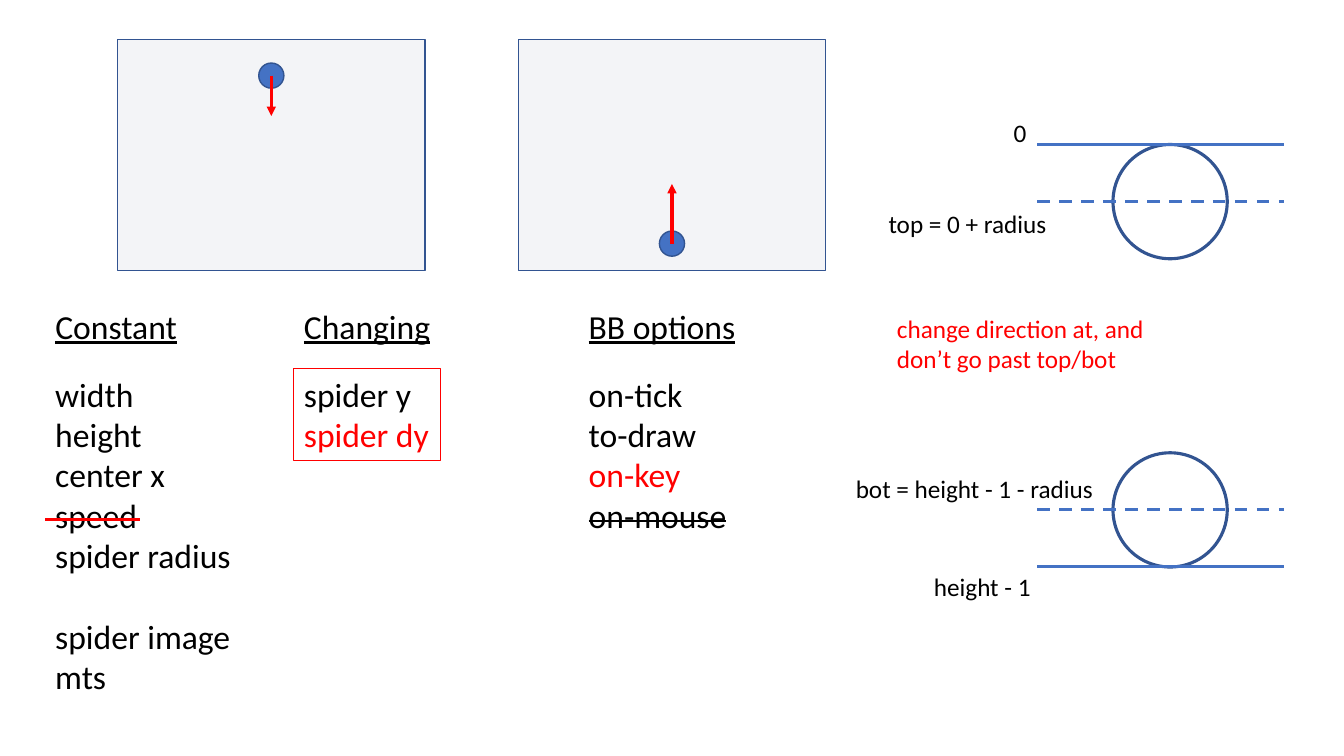
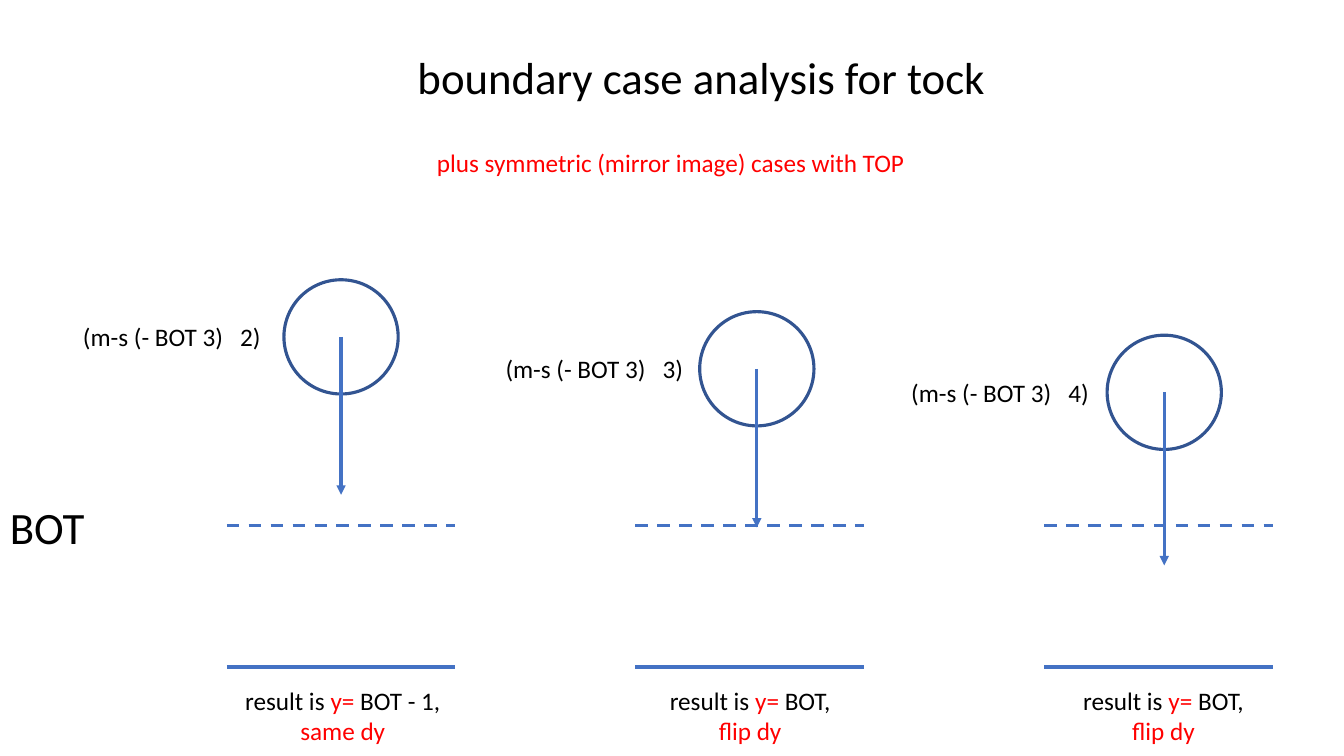
from lxml import etree
from pptx import Presentation
from pptx import util as u
from pptx.dml import color
from pptx.enum import dml, shapes, text
from pptx.oxml import ns

COLORS = {
    "ink": "000000",
    "accent": "FF0000",
    "line": "4472C4",
    "edge": "325491",
    "panel": "D6DCE5",
}
FONT = "Calibri"
COLUMNS, ROWS = 160, 90
WIDTH, HEIGHT = u.Inches(13.333), u.Inches(7.5)
LARGE, MEDIUM, SMALL = 32, 24, 18
LINE_WEIGHT = 2.25
CIRCLE = 13.6
LEFT, CENTER = text.PP_ALIGN.LEFT, text.PP_ALIGN.CENTER


def col(count):
    return round(WIDTH * count / COLUMNS)


def row(count):
    return round(HEIGHT * count / ROWS)


def rgb(name):
    return color.RGBColor.from_string(COLORS[name])


def add_xml(parent, tag, **attributes):
    return etree.SubElement(parent, ns.qn(tag), **attributes)


def style_run(span, size, ink):
    span.font.size = u.Pt(size)
    span.font.name = FONT
    span.font.color.rgb = rgb(ink)


def write(box, words, size, ink="ink", align=LEFT):
    frame = box.text_frame
    frame.word_wrap = True
    frame.vertical_anchor = text.MSO_ANCHOR.TOP
    frame.text = words
    for para in frame.paragraphs:
        para.alignment = align
        for span in para.runs:
            style_run(span, size, ink)
    return frame.paragraphs


def add_text(page, x, y, width, words, size=SMALL, ink="ink", align=LEFT):
    height = size / 5 * (words.count("\n") + 1) / 1.7 + 1.2
    box = page.shapes.add_textbox(col(x), row(y), col(width), row(height))
    return write(box, words, size, ink, align)


def add_outline(page, kind, x, y, width, height, edge, weight, fill=None):
    shape = page.shapes.add_shape(kind, col(x), row(y), col(width), row(height))
    shape.shadow.inherit = False
    shape.line.color.rgb = rgb(edge)
    shape.line.width = u.Pt(weight)
    if fill:
        shape.fill.solid()
        shape.fill.fore_color.rgb = rgb(fill)
    else:
        shape.fill.background()
    return shape


def add_circle(page, x, y, diameter=CIRCLE, weight=LINE_WEIGHT, fill=None):
    return add_outline(page, shapes.MSO_SHAPE.OVAL, x - diameter / 2, y - diameter / 2,
                       diameter, diameter, "edge", weight, fill)


def add_line(page, start, end, ink="line", dashed=False, arrow=False):
    line = page.shapes.add_connector(shapes.MSO_CONNECTOR.STRAIGHT, col(start[0]),
                                     row(start[1]), col(end[0]), row(end[1]))
    line.line.color.rgb = rgb(ink)
    line.line.width = u.Pt(LINE_WEIGHT)
    if dashed:
        line.line.dash_style = dml.MSO_LINE.DASH
    properties = line._element.spPr
    if arrow:
        add_xml(properties.find(ns.qn("a:ln")), "a:tailEnd", type="triangle")
    add_xml(properties, "a:effectLst")


def add_level(page, x, y, width, dashed=False):
    add_line(page, (x, y), (x + width, y), dashed=dashed)


def add_scene(page, x, ball_y, tip_y):
    width, height = 36.6, 27.5
    panel = add_outline(page, shapes.MSO_SHAPE.RECTANGLE, x, 4.7, width, height,
                        "edge", 1, "panel")
    tint = panel._element.spPr.find(ns.qn("a:solidFill"))[0]
    add_xml(tint, "a:alpha", val="29000")
    middle = x + width / 2
    add_circle(page, middle, ball_y, 3, 1, "line")
    add_line(page, (middle, ball_y), (middle, tip_y), "accent", arrow=True)


def add_boundary(page, center_y, wall_y):
    x, width = 123.5, 29.4
    add_circle(page, 139.3, center_y)
    add_level(page, x, wall_y, width)
    add_level(page, x, center_y, width, dashed=True)


def add_case(page, level_x, center, tip_y, label_x, step, caption_x, outcome):
    x, y = center
    level_width = 27.2
    add_level(page, level_x, 79.4, level_width)
    add_level(page, level_x, 62.6, level_width, dashed=True)
    add_circle(page, x, y)
    add_line(page, center, (x, tip_y), arrow=True)

    label = add_text(page, label_x, y - 2.4, 26, f"(m-s (- BOT 3)\t{step})")[0]
    stops = add_xml(label._p.get_or_add_pPr(), "a:tabLst")
    add_xml(stops, "a:tab", pos=str(col(18.7)), algn="l")

    limit, change = outcome
    first, second = add_text(page, caption_x - level_width / 2, 81, level_width,
                             f"result is \n{change}", align=CENTER)
    for words, ink in (("y= ", "accent"), (limit, "ink")):
        span = first.add_run()
        span.text = words
        style_run(span, SMALL, ink)
    style_run(second.runs[0], SMALL, "accent")


def build_domain_page(page):
    add_scene(page, 14, 9, 13.8)
    add_scene(page, 61.7, 29, 21.9)

    constant_x, changing_x, options_x = 5.4, 35, 68.9
    heading_y, list_y = 35.8, 43.9
    for x, words in ((constant_x, "Constant"), (changing_x, "Changing"),
                     (options_x, "BB options")):
        heading = add_text(page, x, heading_y, 28, words, MEDIUM)[0]
        heading.runs[0].font.underline = True

    constants = add_text(page, constant_x, list_y, 25,
                         "width\nheight\ncenter x\nspeed\nspider radius\nspider image\nmts",
                         MEDIUM)
    constants[5].space_before = u.Pt(29)
    add_line(page, (constant_x, 61.8), (16.7, 61.8), "accent")

    frame = add_outline(page, shapes.MSO_SHAPE.RECTANGLE, changing_x, list_y, 17.5, 10.9,
                        "accent", 0.75)
    changing = write(frame, "spider y\nspider dy", MEDIUM)
    options = add_text(page, options_x, list_y, 22,
                       "on-tick\nto-draw\non-key\non-mouse", MEDIUM)
    for para in (changing[1], options[2]):
        style_run(para.runs[0], MEDIUM, "accent")
    options[3].runs[0]._r.get_or_add_rPr().set("strike", "sngStrike")

    add_boundary(page, 24, 17.2)
    add_boundary(page, 60.7, 67.4)
    for x, y, words in ((119.5, 13.4, "0"), (104.6, 24.2, "top = 0 + radius"),
                        (100.7, 55.8, "bot = height - 1 - radius"),
                        (110, 67.4, "height - 1")):
        add_text(page, x, y, 33, words)
    add_text(page, 105.6, 36.7, 32.6, "change direction at, and\ndon’t go past top/bot",
             ink="accent")


def build_cases_page(page):
    add_text(page, 35, 5.3, 97, "boundary case analysis for tock", LARGE, align=CENTER)
    add_text(page, 44.7, 16.9, 70.3, "plus symmetric (mirror image) cases with TOP",
             ink="accent", align=CENTER)
    add_text(page, 0, 58.9, 24, "BOT", LARGE)
    flip = ("BOT,", "flip dy")
    cases = (
        ((40.6, 40.1), 58.9, 8.7, 2, 40.8, ("BOT - 1,", "same dy")),
        ((90.1, 43.9), 62.8, 59, 3, 89.3, flip),
        ((138.6, 46.7), 67.3, 107.3, 4, 138.5, flip),
    )
    for index, case in enumerate(cases):
        add_case(page, 27 + 48.65 * index, *case)


def main():
    deck = Presentation()
    deck.slide_width, deck.slide_height = WIDTH, HEIGHT
    for build in (build_domain_page, build_cases_page):
        build(deck.slides.add_slide(deck.slide_layouts[6]))
    deck.save("out.pptx")


if __name__ == "__main__":
    main()
